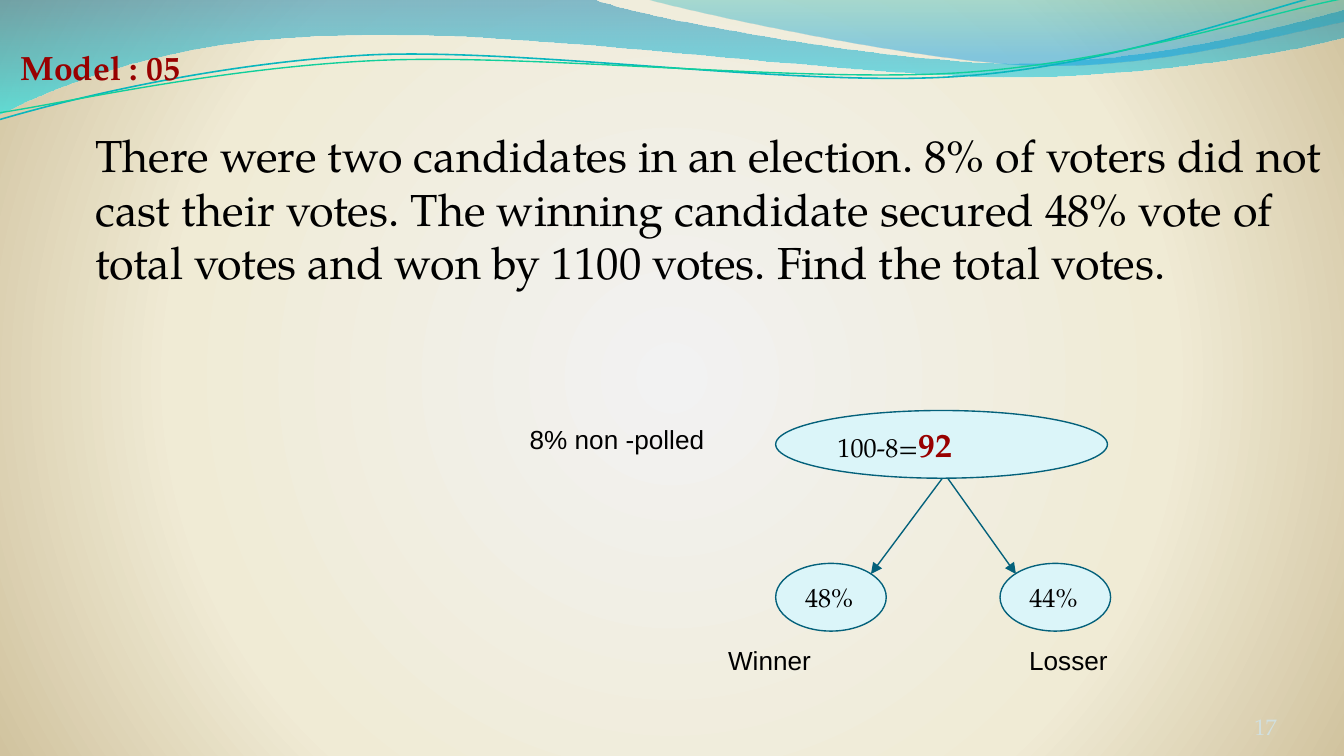
import lxml.etree
import pptx
import pptx.dml.color
import pptx.enum.shapes
import pptx.enum.text
import pptx.oxml.ns
import pptx.util

Cm = pptx.util.Cm
qn = pptx.oxml.ns.qn
rgb = pptx.dml.color.RGBColor.from_string
SERIF, SANS = "TeX Gyre Pagella", "Arial"
BLACK, RED, TEAL, PALE = "000000", "980000", "04617B", "DBF5F9"


def set_gradient(owner, stops, shade, **attributes):
    """Rewrite the gradient below owner; stops are (percent, colour, opacity)."""
    gradient = owner.find(".//" + qn("a:gradFill"))
    for child in list(gradient):
        gradient.remove(child)
    stop_list = lxml.etree.SubElement(gradient, qn("a:gsLst"))
    for percent, colour, opacity in stops:
        stop = lxml.etree.SubElement(stop_list, qn("a:gs"), pos=str(percent * 1000))
        shade_colour = lxml.etree.SubElement(stop, qn("a:srgbClr"), val=colour)
        if opacity < 100:
            lxml.etree.SubElement(shade_colour, qn("a:alpha"), val=str(opacity * 1000))
    shading = lxml.etree.SubElement(gradient, qn("a:" + shade), **attributes)
    if shade == "path":
        lxml.etree.SubElement(shading, qn("a:fillToRect"), l="50000", t="50000", r="50000", b="50000")


def write(shape, runs, font=SERIF, anchor="TOP", align="LEFT"):
    """Fill a shape with one paragraph of (text, size, colour, bold) runs."""
    frame = shape.text_frame
    frame.word_wrap = True
    frame.auto_size = pptx.enum.text.MSO_AUTO_SIZE.NONE
    frame.vertical_anchor = getattr(pptx.enum.text.MSO_ANCHOR, anchor)
    frame.margin_left = frame.margin_right = frame.margin_top = frame.margin_bottom = Cm(0.25)
    paragraph = frame.paragraphs[0]
    paragraph.alignment = getattr(pptx.enum.text.PP_ALIGN, align)
    for text, size, colour, bold in runs:
        run = paragraph.add_run()
        run.text = text
        run.font.name = font
        run.font.size = pptx.util.Pt(size)
        run.font.bold = bold
        run.font.color.rgb = rgb(colour)


deck = pptx.Presentation()
deck.slide_width, deck.slide_height = Cm(25.4), Cm(14.29)
deck.element.set("firstSlideNum", "17")
slide = deck.slides.add_slide(deck.slide_layouts[5])
shapes = slide.shapes

slide.background.fill.gradient()
set_gradient(slide.element, [(0, "F2F2F2", 100), (65, "F0EBD5", 100), (100, "D1C39F", 100)],
             "path", path="circle")

# Each outline: start, then segments of one point (straight) or three (Bezier), in cm.
broad_wave = [[(0, 0)], [(11.18, -0.03)],
              [(12.09, 0.33), (16.87, 1.19), (19.25, 1.19)],
              [(21.67, 1.19), (24.33, 0.48), (25.4, 0.18)], [(25.43, 0.69)],
              [(24.97, 0.84), (22.1, 1.45), (18.95, 1.45)],
              [(15.8, 1.42), (9.7, 0.53), (6.53, 0.66)],
              [(3.28, 0.69), (1.17, 1.57), (-0.03, 2.16)], [(0, 0)]]
right_wave = [[(12.17, -0.03)],
              [(12.93, 0.2), (17.32, 1.17), (19.53, 1.24)],
              [(21.74, 1.32), (24.41, 0.61), (25.4, 0.41)], [(25.4, 0)], [(12.17, -0.03)]]
blue_strand = [[(-0.04, 1.66)],
               [(1.19, 1.36), (4.02, 0.78), (7.05, 0.77)],
               [(10.07, 0.79), (15.01, 1.76), (18.06, 1.7)],
               [(21.14, 1.64), (23.88, 0.68), (25.39, 0.42)]]
green_strand = [[(-0.03, 1.53)],
                [(1.17, 1.41), (4.17, 0.87), (7.19, 0.88)],
                [(10.24, 0.9), (15.14, 1.69), (18.17, 1.63)],
                [(21.22, 1.57), (23.93, 0.78), (25.44, 0.57)]]
for outline, stops, line_colour, line_width in [
    (broad_wave, [(0, "0079AD", 45), (100, "00E9F7", 55)], None, 0),
    (right_wave, [(0, "00ABB4", 30), (80, "0099E4", 45), (100, "0099E4", 45)], None, 0),
    (blue_strand, None, "09B6BE", 0.85),
    (green_strand, None, "10CF9B", 0.75),
]:
    points = [(round(x * 100), round(y * 100)) for segment in outline for x, y in segment]
    builder = shapes.build_freeform(*points[0], scale=Cm(1) / 100)
    builder.add_line_segments(points[1:], close=bool(stops))
    ribbon = builder.convert_to_shape()

    # Merge each three control points into one Bezier segment.
    straights = iter(ribbon.element.findall(".//" + qn("a:lnTo")))
    for segment in outline[1:]:
        steps = [next(straights) for _ in segment]
        if len(steps) == 3:
            curve = lxml.etree.Element(qn("a:cubicBezTo"))
            steps[0].addprevious(curve)
            for step in steps:
                curve.append(step[0])
                step.getparent().remove(step)

    ribbon.shadow.inherit = False
    if stops:
        ribbon.fill.gradient()
        set_gradient(ribbon.element, stops, "lin", ang="5400000", scaled="0")
        ribbon.line.fill.background()
    else:
        ribbon.rotation = 357.3
        ribbon.fill.background()
        ribbon.line.color.rgb = rgb(line_colour)
        ribbon.line.width = pptx.util.Pt(line_width)

# The heading sits in front of the waves.
title = shapes.title
shapes.element.append(title.element)
title.left, title.top, title.width, title.height = Cm(0.14), Cm(0.64), Cm(6.99), Cm(0.97)
write(title, [("Model : 05", 18, RED, True)])

question = ("There were two candidates in an election. 8% of voters did not cast their votes. "
            "The winning candidate secured 48% vote of total votes and won by 1100 votes. "
            "Find the total votes.")
for text, left, top, width, height, size, font in [
    (question, 1.55, 2.16, 23.72, 3.76, 24, SERIF),
    ("8% non -polled", 9.76, 7.76, 4.17, 0.89, 14, SANS),
    ("Winner", 13.51, 11.94, 2.79, 0.89, 14, SANS),
    ("Losser", 19.2, 11.94, 2.79, 0.89, 14, SANS),
]:
    box = shapes.add_textbox(Cm(left), Cm(top), Cm(width), Cm(height))
    write(box, [(text, size, BLACK, False)], font)

for runs, left, top, width in [
    ([("100-8=", 14, BLACK, False), ("92", 18, RED, True)], 14.66, 7.76, 6.27),
    ([("48%", 14, BLACK, False)], 14.66, 10.65, 2.09),
    ([("44%", 14, BLACK, False)], 18.9, 10.65, 2.09),
]:
    share = shapes.add_shape(pptx.enum.shapes.MSO_SHAPE.OVAL,
                             Cm(left), Cm(top), Cm(width), Cm(1.28))
    share.shadow.inherit = False
    share.fill.solid()
    share.fill.fore_color.rgb = rgb(PALE)
    share.line.color.rgb = rgb(TEAL)
    share.line.width = pptx.util.Pt(0.75)
    write(share, runs, anchor="MIDDLE")

for start, end in [(17.81, 16.46), (17.91, 19.2)]:
    arrow = shapes.add_connector(pptx.enum.shapes.MSO_CONNECTOR.STRAIGHT,
                                 Cm(start), Cm(9.04), Cm(end), Cm(10.85))
    arrow.line.color.rgb = rgb(TEAL)
    arrow.line.width = pptx.util.Pt(0.75)
    properties = arrow.element.spPr
    lxml.etree.SubElement(properties.find(qn("a:ln")), qn("a:tailEnd"), type="triangle")
    lxml.etree.SubElement(properties, qn("a:effectLst"))

# The page number is a live field.
page_number = shapes.add_textbox(Cm(22.38), Cm(13.23), Cm(2), Cm(1))
write(page_number, [("17", 12, "D1E0E0", False)], align="RIGHT")
run = page_number.element.find(".//" + qn("a:r"))
field = lxml.etree.Element(qn("a:fld"), type="slidenum",
                           id="{B6F15528-21DE-4FAA-801E-634DDDAF4B2B}")
run.addprevious(field)
field.extend(list(run))
run.getparent().remove(run)

deck.save("out.pptx")
